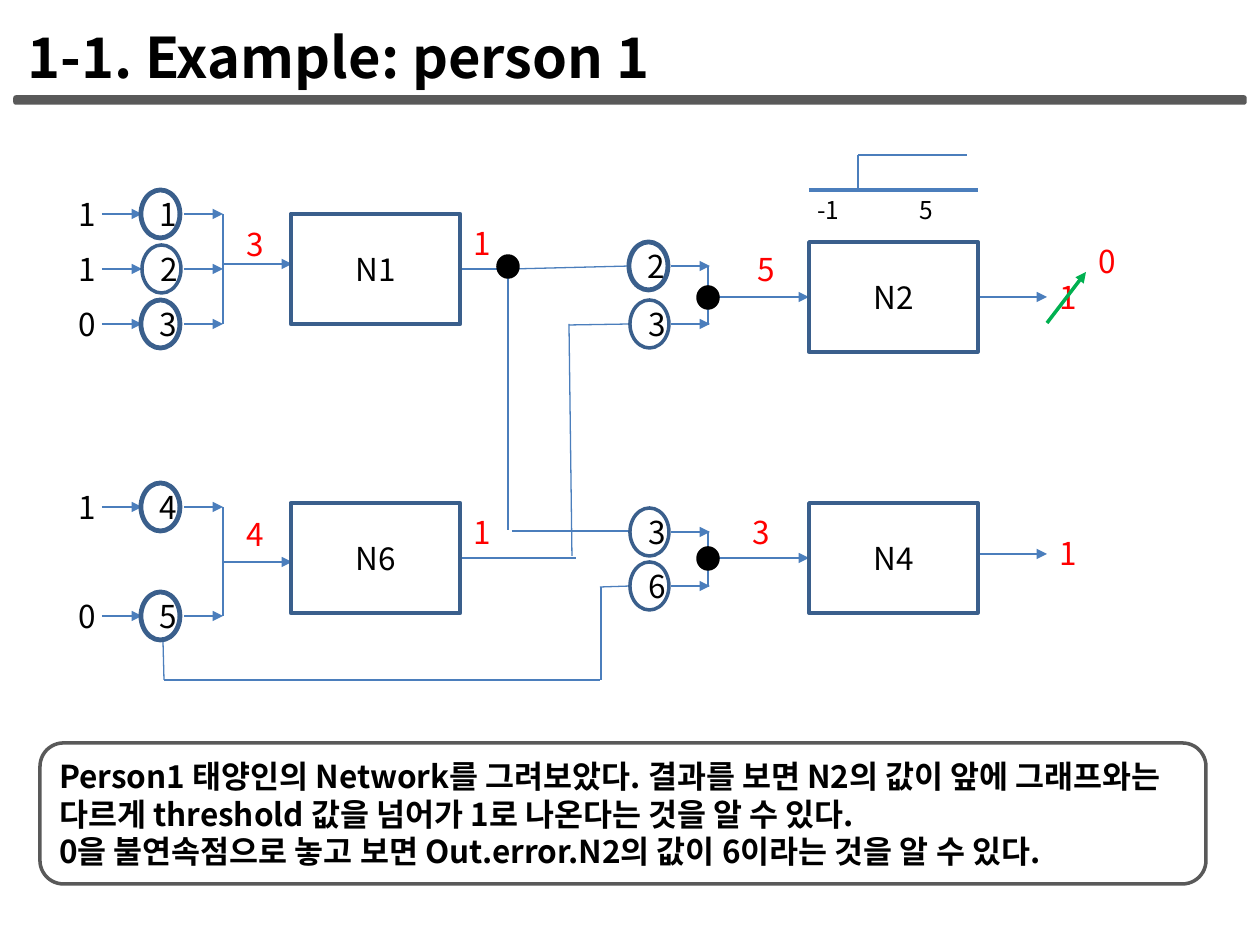
from typing import NamedTuple

from lxml.etree import SubElement
from pptx import Presentation
from pptx.dml.color import RGBColor
from pptx.enum.shapes import MSO_CONNECTOR, MSO_SHAPE
from pptx.enum.text import MSO_ANCHOR, MSO_AUTO_SIZE, PP_ALIGN
from pptx.oxml.ns import qn
from pptx.util import Inches, Pt

SCALE = Inches(1) / 126
FONT = "Noto Sans CJK KR"
COLORS = {"black": "000000", "gray": "595959", "node": "3A5F8C",
          "wire": "4B7EBC", "red": "FF0000", "green": "00B050"}


class Box(NamedTuple):
    left: int
    top: int
    width: int
    height: int


class Node(NamedTuple):
    text: str
    left: int
    middle: int
    weight: float = 2.75


class Label(NamedTuple):
    text: str
    left: int
    top: int
    width: int = 39
    height: int = 50
    size: int = 18
    color: str = "red"


class Wire(NamedTuple):
    x1: int
    y1: int
    x2: int
    y2: int
    arrow: bool = False
    color: str = "wire"
    weight: float = 0.75


def emu(pixels: int) -> int:
    """Turn pixels into EMU."""
    return round(pixels * SCALE)


def rgb(name: str) -> RGBColor:
    """Look up a named colour."""
    return RGBColor.from_string(COLORS[name])


def write(shape, text: str, *, size: int = 18, color: str = "black", bold: bool = False,
          align=PP_ALIGN.LEFT, anchor=MSO_ANCHOR.TOP) -> None:
    """Write formatted lines of text into a shape."""
    frame = shape.text_frame
    frame.word_wrap = True
    frame.vertical_anchor = anchor
    frame.text = text
    for paragraph in frame.paragraphs:
        paragraph.alignment = align
        for run in paragraph.runs:
            run.font.size = Pt(size)
            run.font.bold = bold
            run.font.color.rgb = rgb(color)
            run.font.name = FONT
            SubElement(run.font._element, qn("a:ea")).set("typeface", FONT)


def draw_shape(slide, kind, box: Box, line: str, weight: float = 2, fill: str = ""):
    """Draw a preset shape with an outline and an optional fill."""
    shape = slide.shapes.add_shape(kind, *map(emu, box))
    shape.shadow.inherit = False
    shape.line.color.rgb = rgb(line)
    shape.line.width = Pt(weight)
    if fill:
        shape.fill.solid()
        shape.fill.fore_color.rgb = rgb(fill)
    else:
        shape.fill.background()
    return shape


def draw_node(slide, kind, box: Box, node: Node) -> None:
    """Draw an outlined node with centred text."""
    shape = draw_shape(slide, kind, box, "node", node.weight)
    write(shape, node.text, align=PP_ALIGN.CENTER, anchor=MSO_ANCHOR.MIDDLE)


def draw_label(slide, label: Label, **style) -> None:
    """Draw a free-standing text box."""
    box = slide.shapes.add_textbox(*map(emu, label[1:5]))
    write(box, label.text, size=label.size, color=label.color, **style)
    box.text_frame.auto_size = MSO_AUTO_SIZE.SHAPE_TO_FIT_TEXT


def draw_wire(slide, wire: Wire) -> None:
    """Draw a straight line, with an arrowhead if asked."""
    connector = slide.shapes.add_connector(MSO_CONNECTOR.STRAIGHT, *map(emu, wire[:4]))
    connector.line.color.rgb = rgb(wire.color)
    connector.line.width = Pt(wire.weight)
    if wire.arrow:
        SubElement(connector.line._get_or_add_ln(), qn("a:tailEnd")).set("type", "triangle")
    SubElement(connector._element.spPr, qn("a:effectLst"))


INPUTS = [("1", Node("1", 141, 214)), ("1", Node("2", 142, 269, 2)),
          ("0", Node("3", 141, 324)), ("1", Node("4", 141, 507)),
          ("0", Node("5", 141, 616))]
HIDDEN = [Node("2", 629, 266), Node("3", 630, 324, 2),
          Node("3", 630, 532, 2), Node("6", 630, 586, 2)]
NEURONS = [Node("N1", 291, 269), Node("N6", 291, 558),
           Node("N2", 809, 297, 2), Node("N4", 809, 558, 2)]
JUNCTIONS = [(508, 266), (708, 297), (708, 558)]
LABELS = [
    Label("3", 234, 219), Label("4", 234, 509), Label("1", 461, 218), Label("1", 461, 507),
    Label("5", 745, 244), Label("3", 740, 507), Label("1", 1047, 272),
    Label("1", 1047, 528), Label("0", 1086, 236),
    Label("-1", 805, 189, 59, 43, 14, "black"), Label("5", 907, 189, 59, 43, 14, "black"),
]
WIRES = [
    Wire(223, 214, 223, 324), Wire(223, 264, 292, 264, True),
    Wire(223, 507, 223, 616), Wire(223, 562, 292, 562, True),
    Wire(461, 269, 512, 269), Wire(512, 269, 630, 266),
    Wire(508, 266, 508, 530), Wire(512, 531, 630, 531),
    Wire(461, 558, 576, 558), Wire(572, 556, 569, 324), Wire(569, 325, 630, 324),
    Wire(163, 640, 164, 680), Wire(164, 680, 600, 680),
    Wire(601, 680, 601, 587), Wire(600, 587, 630, 586),
    Wire(708, 266, 708, 325), Wire(708, 531, 708, 587),
    Wire(719, 297, 809, 297, True), Wire(719, 558, 809, 558, True),
    Wire(978, 297, 1047, 297, True), Wire(978, 554, 1047, 554, True),
    Wire(809, 190, 978, 190, weight=1.75),
    Wire(858, 155, 858, 190), Wire(858, 155, 967, 155),
]
CAPTION = ("Person1 태양인의 Network를 그려보았다. 결과를 보면 N2의 값이 앞에 "
           "그래프와는 다르게 threshold 값을 넘어가 1로 나온다는 것을 알 수 있다.\n"
           "0을 불연속점으로 놓고 보면 Out.error.N2의 값이 6이라는 것을 알 수 있다.")


def main() -> None:
    """Build and save the network slide."""
    presentation = Presentation()
    presentation.slide_width = Inches(10)
    presentation.slide_height = Inches(7.5)
    slide = presentation.slides.add_slide(presentation.slide_layouts[6])

    draw_shape(slide, MSO_SHAPE.ROUNDED_RECTANGLE, Box(15, 97, 1230, 6), "gray", fill="gray")
    title = Label("1-1. Example: person 1", 15, 16, 1171, 81, 32, "black")
    draw_label(slide, title, bold=True)
    caption = draw_shape(slide, MSO_SHAPE.ROUNDED_RECTANGLE, Box(40, 743, 1166, 141), "gray")
    write(caption, CAPTION, bold=True, anchor=MSO_ANCHOR.MIDDLE)

    for wire in WIRES:
        draw_wire(slide, wire)
    for value, node in INPUTS:
        draw_wire(slide, Wire(102, node.middle, 142, node.middle, True))
        draw_wire(slide, Wire(184, node.middle, 223, node.middle, True))
        value_box = slide.shapes.add_textbox(*map(emu, Box(62, node.middle - 24, 51, 48)))
        write(value_box, value, align=PP_ALIGN.CENTER, anchor=MSO_ANCHOR.MIDDLE)
    for node in HIDDEN:
        draw_wire(slide, Wire(671, node.middle, 710, node.middle, True))
    for node in [node for _, node in INPUTS] + HIDDEN:
        draw_node(slide, MSO_SHAPE.OVAL, Box(node.left, node.middle - 24, 39, 48), node)
    for node in NEURONS:
        draw_node(slide, MSO_SHAPE.RECTANGLE, Box(node.left, node.middle - 55, 169, 110), node)
    for x, y in JUNCTIONS:
        draw_shape(slide, MSO_SHAPE.OVAL, Box(x - 10, y - 10, 20, 21), "black", fill="black")
    for label in LABELS:
        draw_label(slide, label)
    draw_wire(slide, Wire(1047, 323, 1086, 272, True, "green", 2))
    presentation.save("out.pptx")


main()
